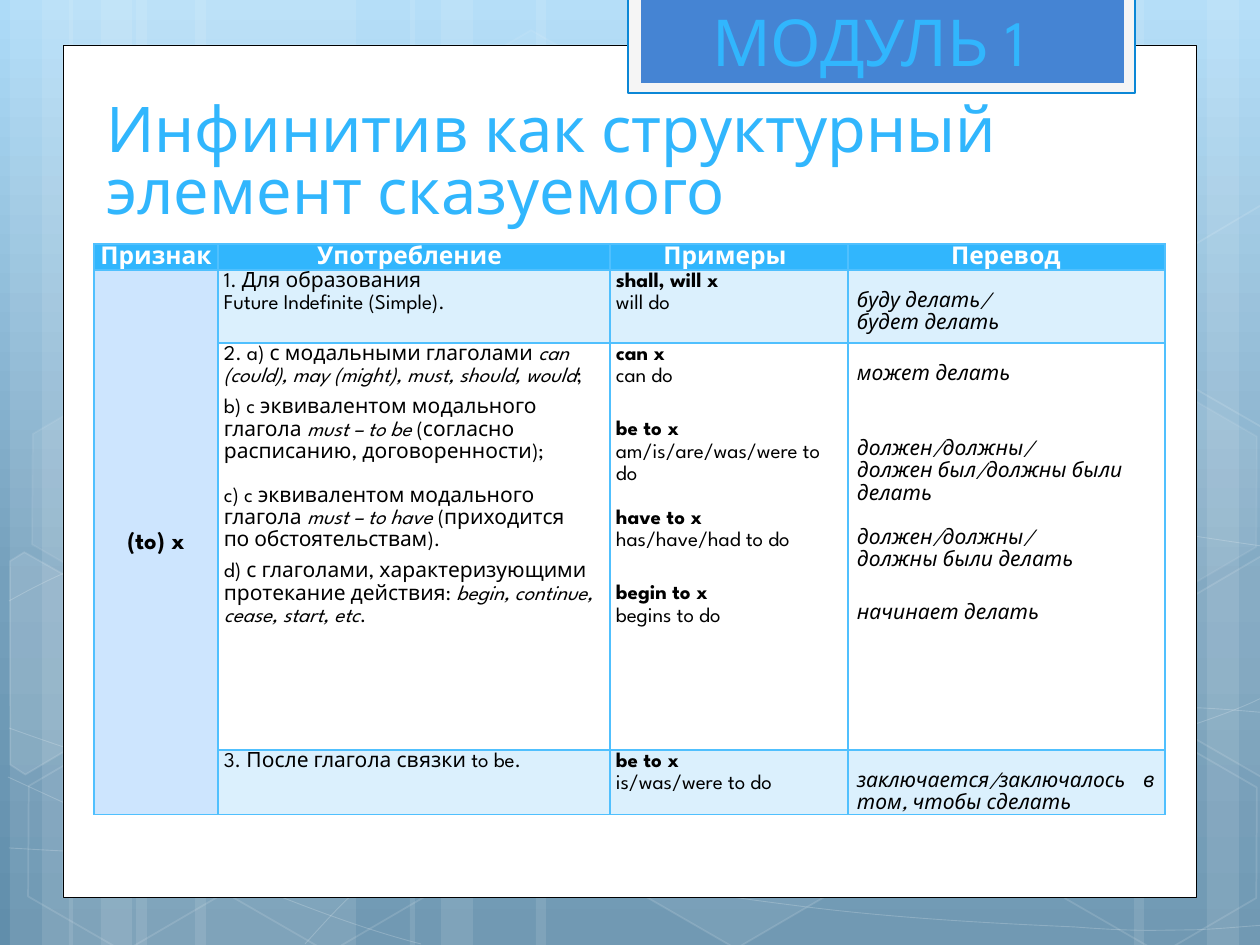
import math
from copy import deepcopy

from lxml import etree
from pptx import Presentation
from pptx import util as u
from pptx.dml.color import RGBColor
from pptx.enum import shapes, text
from pptx.oxml.ns import qn

SCALE = 914400 / 126  # EMU in one px
FONT = "League Spartan"
TILT = 30  # degrees, all hexagons
COLORS = {
    "white": "FFFFFF", "black": "000000", "accent": "31B6FD", "border": "50C0FE",
    "tab": "4584D3", "tab_frame": "F5F5F5", "tab_line": "0B87D6",
    "feature": "CDE5FE", "band": "DBF0FD",
}
BACKGROUND = [(0, "ADDBF8"), (0.62, "75A0BC"), (1, "618EAB")]

# Backdrop: bars (left, width), hexagons (left, top, fill %, line %)
BARS = [(136, 220), (10, 63), (42, 105), (195, 220), (69, 63), (101, 105),
        (924, 220), (1207, 63), (1134, 105), (536, 388), (410, 63), (441, 105)]
HEXAGONS = [(421, 45, 4, 8), (626, 742, 6, 12), (14, 745, 0, 12), (18, 393, 7, 8),
            (219, 746, 0, 12), (949, 571, 10, 12), (1051, 747, 0, 12), (1051, 396, 7, 8)]
# Hexagons cut by the slide edge: fill %, centre, corners as seen on the slide
CUT_HEXAGONS = [
    (10, (45, 674), [(10, 561), (24, 552), (121, 607), (120, 718), (25, 774), (10, 765)]),
    (4, (1241, 655),
     [(1167, 611), (1261, 556), (1271, 562), (1271, 772), (1263, 777), (1167, 722)]),
    (0, (1241, 304),
     [(1167, 261), (1261, 205), (1272, 212), (1271, 422), (1263, 427), (1167, 372)]),
]
# Cubic curves: a start point, then three points for each segment
CURVES = [
    [(9, 848), (77, 852), (145, 856), (239, 854), (334, 853), (451, 851), (577, 838),
     (703, 825), (882, 801), (998, 777), (1113, 753), (1231, 716), (1269, 694)],
    [(9, 601), (45, 581), (82, 562), (152, 543), (224, 524), (326, 496), (437, 488),
     (549, 479), (685, 478), (824, 488), (963, 498), (1193, 537), (1269, 547)],
    [(8, 777), (160, 847), (311, 916), (421, 944)],
    [(9, 728), (48, 742), (88, 756), (161, 776), (234, 795), (344, 827), (450, 848),
     (554, 869), (687, 892), (791, 905), (896, 919), (1008, 924), (1075, 927),
     (1140, 932), (1158, 930), (1191, 930), (1223, 929), (1246, 926), (1269, 925)],
    [(305, 944), (328, 919), (350, 893), (381, 871), (411, 848), (454, 823), (489, 805),
     (524, 788), (546, 780), (592, 767), (638, 755), (722, 737), (766, 728),
     (811, 719), (818, 719), (857, 717), (896, 713), (958, 709), (1000, 708),
     (1045, 707), (1116, 708), (1116, 708), (1144, 708), (1172, 708), (1201, 708),
     (1223, 709), (1244, 711), (1268, 713)],
]

# Table: a cell is a list of (gap above in px, runs); a run is (text, style)
TITLE = "Инфинитив как структурный элемент сказуемого"
MODULE = "МОДУЛЬ 1"
HEADER = ["Признак", "Употребление", "Примеры", "Перевод"]
FEATURE = "(to) x"
ROWS = [
    ([(0, [("1. Для образования", "")]), (0, [("Future Indefinite (Simple).", "")])],
     [(0, [("shall, will x", "b")]), (0, [("will do", "")])],
     [(0, [("буду делать/", "i")]), (0, [("будет делать", "i")])]),
    ([(0, [("2. a) с модальными глаголами ", ""),
           ("can (could), may (might), must, should, would", "i"), (";", "")]),
      (9, [("b) c эквивалентом модального глагола ", ""), ("must – to be ", "i"),
           ("(согласно расписанию, договоренности);", "")]),
      (22, [("c) c эквивалентом модального глагола ", ""), ("must – to have ", "i"),
            ("(приходится ", ""), ("по обстоятельствам", "tight"), (").", "")]),
      (9, [("d) с глаголами, характеризующими протекание действия: ", ""),
           ("begin, continue, cease, start, etc", "i"), (".", "")])],
     [(0, [("can x", "b")]), (0, [("can do", "")]),
      (31, [("be to x", "b")]), (0, [("am/is/are/was/were to do", "")]),
      (22, [("have to x", "b")]), (0, [("has/have/had to do", "")]),
      (31, [("begin to x", "b")]), (0, [("begins to do", "")])],
     [(0, [("может делать", "i")]),
      (53, [("должен/должны/", "i")]), (0, [("должен был/должны были делать", "i")]),
      (22, [("должен/должны/", "i")]), (0, [("должны были делать", "i")]),
      (31, [("начинает делать", "i")])]),
    ([(0, [("3. После глагола связки to be.", "")])],
     [(0, [("be to x", "b")]), (0, [("is/was/were to do", "")])],
     [(0, [("заключается/заключалось в том, чтобы сделать", "i")])]),
]
COLUMN_WIDTHS = [124, 392, 238, 317]
ROW_HEIGHTS = [25, 73, 407, 64]
MARGINS = [(1, 1), (6, 15), (6, 14), (9, 10)]  # left, right of each column
TRANSLATION_TOP = 20


def px(value):
    return u.Emu(round(value * SCALE))


def paint(color_format, name, opacity=100):
    color_format.rgb = RGBColor.from_string(COLORS[name])
    if opacity < 100:
        color = color_format._xFill.find(qn("a:srgbClr"))
        etree.SubElement(color, qn("a:alpha")).set("val", str(opacity * 1000))


def style_shape(shape, fill=None, line=None, width=1, fill_opacity=100, line_opacity=100):
    shape.shadow.inherit = False
    if fill:
        shape.fill.solid()
        paint(shape.fill.fore_color, fill, fill_opacity)
    else:
        shape.fill.background()
    if line:
        shape.line.width = u.Pt(width)
        paint(shape.line.color, line, line_opacity)
    else:
        shape.line.fill.background()


def add_preset(kind, box, **style):
    shape = slide.shapes.add_shape(kind, *map(px, box))
    style_shape(shape, **style)
    return shape


def add_outline(points, closed, **style):
    builder = slide.shapes.build_freeform(*points[0], scale=SCALE)
    builder.add_line_segments(points[1:], close=closed)
    shape = builder.convert_to_shape()
    style_shape(shape, **style)
    return shape


def add_curve(points, **style):
    shape = add_outline(points, False, **style)
    lines = list(shape._element.iter(qn("a:lnTo")))
    for start in range(0, len(lines), 3):
        segment = etree.Element(qn("a:cubicBezTo"))
        lines[start].addprevious(segment)
        for line in lines[start:start + 3]:
            segment.append(line[0])
            line.getparent().remove(line)


def turn_back(point, centre):
    angle = math.radians(-TILT)
    x, y = point[0] - centre[0], point[1] - centre[1]
    return (centre[0] + x * math.cos(angle) - y * math.sin(angle),
            centre[1] + x * math.sin(angle) + y * math.cos(angle))


def format_run(run, size, color, style=""):
    run.font.name, run.font.size = FONT, u.Pt(size)
    run.font.bold, run.font.italic = style == "b", style == "i"
    paint(run.font.color, color)
    if style == "tight":
        run.font._element.set("spc", "-10")


def write_heading(shape, content, size):
    frame = shape.text_frame
    frame.word_wrap, frame.auto_size = True, text.MSO_AUTO_SIZE.NONE
    frame.vertical_anchor = text.MSO_ANCHOR.BOTTOM
    frame.text = content
    paragraph = frame.paragraphs[0]
    paragraph.alignment = text.PP_ALIGN.LEFT
    format_run(paragraph.runs[0], size, "accent")
    return paragraph


def fill_cell(cell, column, content, fill, align, size=12, color="black", middle=False):
    cell.margin_left, cell.margin_right = map(px, MARGINS[column])
    cell.margin_top = cell.margin_bottom = 0
    cell.vertical_anchor = text.MSO_ANCHOR.MIDDLE if middle else text.MSO_ANCHOR.TOP
    cell.fill.solid()
    paint(cell.fill.fore_color, fill)
    for index, (gap, runs) in enumerate(content):
        frame = cell.text_frame
        paragraph = frame.add_paragraph() if index else frame.paragraphs[0]
        paragraph.alignment, paragraph.line_spacing = align, 1.15
        paragraph.space_before = px(gap)
        for words, style in runs:
            run = paragraph.add_run()
            run.text = words
            format_run(run, size, color, style)


def add_borders(cell):
    properties = cell._tc.get_or_add_tcPr()
    for index, side in enumerate(("lnL", "lnR", "lnT", "lnB")):
        line = etree.Element(qn("a:" + side), w=str(u.Pt(1)))
        solid = etree.SubElement(line, qn("a:solidFill"))
        etree.SubElement(solid, qn("a:srgbClr"), val=COLORS["border"])
        properties.insert(index, line)


presentation = Presentation()
presentation.slide_width, presentation.slide_height = px(1260), px(945)
slide = presentation.slides.add_slide(presentation.slide_layouts.get_by_name("Title Only"))

# Background gradient
background = slide.background.fill
background.gradient()
background.gradient_angle = 270
stop_list = slide.element.find(".//" + qn("a:gsLst"))
stop_list.append(deepcopy(stop_list[0]))
for stop, (position, color) in zip(background.gradient_stops, BACKGROUND):
    stop.position, stop.color.rgb = position, RGBColor.from_string(color)

# Backdrop bars, curves and hexagons
rectangle = shapes.MSO_SHAPE.RECTANGLE
for left, width in BARS:
    add_preset(rectangle, (left, 0, width, 945), fill="white", fill_opacity=10)
for curve in CURVES:
    add_curve(curve, line="white", width=0.5, line_opacity=20)
for left, top, opacity, line_opacity in HEXAGONS:
    hexagon = add_preset(shapes.MSO_SHAPE.HEXAGON, (left, top, 220, 192),
                         fill="white" if opacity else None, fill_opacity=opacity,
                         line="white", line_opacity=line_opacity)
    hexagon.adjustments[0] = 0.285
    hexagon.rotation = TILT
for opacity, centre, corners in CUT_HEXAGONS:
    hexagon = add_outline([turn_back(corner, centre) for corner in corners], True,
                          fill="white" if opacity else None, fill_opacity=opacity,
                          line="white", line_opacity=12)
    hexagon.rotation = TILT

# Panel and module tab
add_preset(rectangle, (63, 45, 1134, 853), fill="white", line="black", width=0.5)
add_preset(rectangle, (628, -3, 507, 96), fill="tab_frame", line="tab_line", width=1.25)
add_preset(rectangle, (641, -3, 483, 86), fill="tab")

# Title and module label
title = slide.shapes.title
title.left, title.top, title.width, title.height = map(px, (94, 76, 1008, 157))
write_heading(title, TITLE, 36).line_spacing = u.Pt(35)
slide.shapes._spTree.append(title._element)
write_heading(slide.shapes.add_textbox(*map(px, (700, 0, 377, 86))), MODULE, 37)

# Table
table = slide.shapes.add_table(len(ROW_HEIGHTS), len(COLUMN_WIDTHS), px(94), px(244),
                               px(sum(COLUMN_WIDTHS)), px(sum(ROW_HEIGHTS))).table
for column, width in zip(table.columns, COLUMN_WIDTHS):
    column.width = px(width)
for row, height in zip(table.rows, ROW_HEIGHTS):
    row.height = px(height)
center, left_align = text.PP_ALIGN.CENTER, text.PP_ALIGN.LEFT
for column, heading in enumerate(HEADER):
    fill_cell(table.cell(0, column), column, [(0, [(heading, "b")])], "accent", center,
              14, "white", True)
table.cell(1, 0).merge(table.cell(3, 0))
fill_cell(table.cell(1, 0), 0, [(0, [(FEATURE, "b")])], "feature", center, 14, middle=True)
for row, contents in enumerate(ROWS, 1):
    for column, content in enumerate(contents, 1):
        cell = table.cell(row, column)
        align = text.PP_ALIGN.JUSTIFY if (row, column) == (3, 3) else left_align
        fill_cell(cell, column, content, "band" if row % 2 else "white", align)
        if column == 3:
            cell.margin_top = px(TRANSLATION_TOP)
for cell in table.iter_cells():
    add_borders(cell)

presentation.save("out.pptx")
